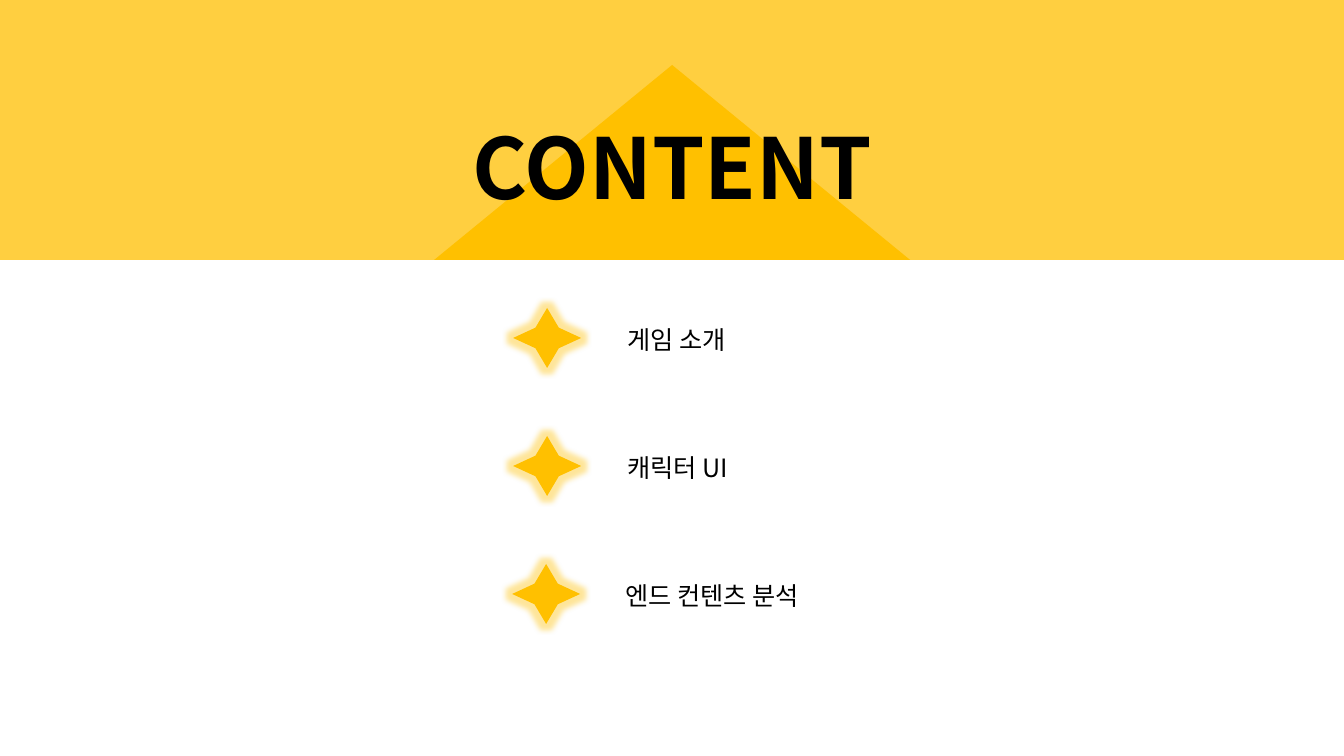
from lxml import etree
from pptx import Presentation
from pptx import util as u
from pptx.dml.color import RGBColor
from pptx.enum import shapes, text
from pptx.oxml.ns import qn

AMBER = RGBColor(0xFF, 0xC0, 0x00)
BLACK = RGBColor(0x00, 0x00, 0x00)
SHAPE = shapes.MSO_SHAPE
ITEMS = [("게임 소개", 0), ("캐릭터 UI", 0), ("엔드 컨텐츠 분석", -2)]
ROW_STEP = 128


def px(n):
    return u.Inches(n / 100.8)


class Deck:
    """Holds the style and the current slide, and draws each kind of element."""

    font = "Noto Sans CJK KR"

    def __init__(self):
        self.prs = Presentation()
        self.prs.slide_width = u.Inches(13.33)
        self.prs.slide_height = u.Inches(7.5)
        self.s = self.prs.slides.add_slide(self.prs.slide_layouts[6])

    def shape(self, kind, x, y, w, h, adj=None):
        sp = self.s.shapes.add_shape(kind, px(x), px(y), px(w), px(h))
        sp.fill.solid()
        sp.fill.fore_color.rgb = AMBER
        sp.line.fill.background()
        sp.shadow.inherit = False
        if adj is not None:
            sp.adjustments[0] = adj
        return sp

    def alpha(self, color, percent):
        etree.SubElement(color, qn("a:alpha"), val=str(percent * 1000))

    def band(self, x, y, w, h):
        sp = self.shape(SHAPE.RECTANGLE, x, y, w, h)
        self.alpha(sp._element.spPr.find(".//" + qn("a:srgbClr")), 75)

    def star(self, x, y, w, h):
        sp = self.shape(SHAPE.STAR_4_POINT, x, y, w, h, 0.243)
        effects = sp._element.spPr.find(qn("a:effectLst"))
        glow = etree.SubElement(effects, qn("a:glow"), rad=str(u.Pt(8)))
        self.alpha(etree.SubElement(glow, qn("a:srgbClr"), val=str(AMBER)), 40)

    def label(self, words, x, y, w, h, frame, align, font):
        tf = self.s.shapes.add_textbox(px(x), px(y), px(w), px(h)).text_frame
        for name, value in {"word_wrap": True, **frame}.items():
            setattr(tf, name, value)
        p = tf.paragraphs[0]
        p.alignment = align
        r = p.add_run()
        r.text = words
        for name, value in {"name": self.font, **font}.items():
            setattr(r.font, name, value)
        r.font.color.rgb = BLACK
        etree.SubElement(r._r.get_or_add_rPr(), qn("a:ea"), typeface=self.font)


def main():
    deck = Deck()
    deck.band(0, 0, 1344, 260)
    deck.shape(SHAPE.ISOSCELES_TRIANGLE, 434, 65, 476, 195)
    deck.label("CONTENT", 434, 111, 476, 112,
               {"auto_size": text.MSO_AUTO_SIZE.SHAPE_TO_FIT_TEXT},
               text.PP_ALIGN.CENTER, {"size": u.Pt(60), "bold": True})
    for i, (words, shift) in enumerate(ITEMS):
        top = 305 + i * ROW_STEP
        deck.star(513 + shift // 2, top + 3, 68, 60)
        deck.label(words, 617 + shift, top, 235, 69,
                   {"vertical_anchor": text.MSO_ANCHOR.MIDDLE},
                   text.PP_ALIGN.LEFT, {"size": u.Pt(18)})
    deck.prs.save("out.pptx")


if __name__ == "__main__":
    main()
